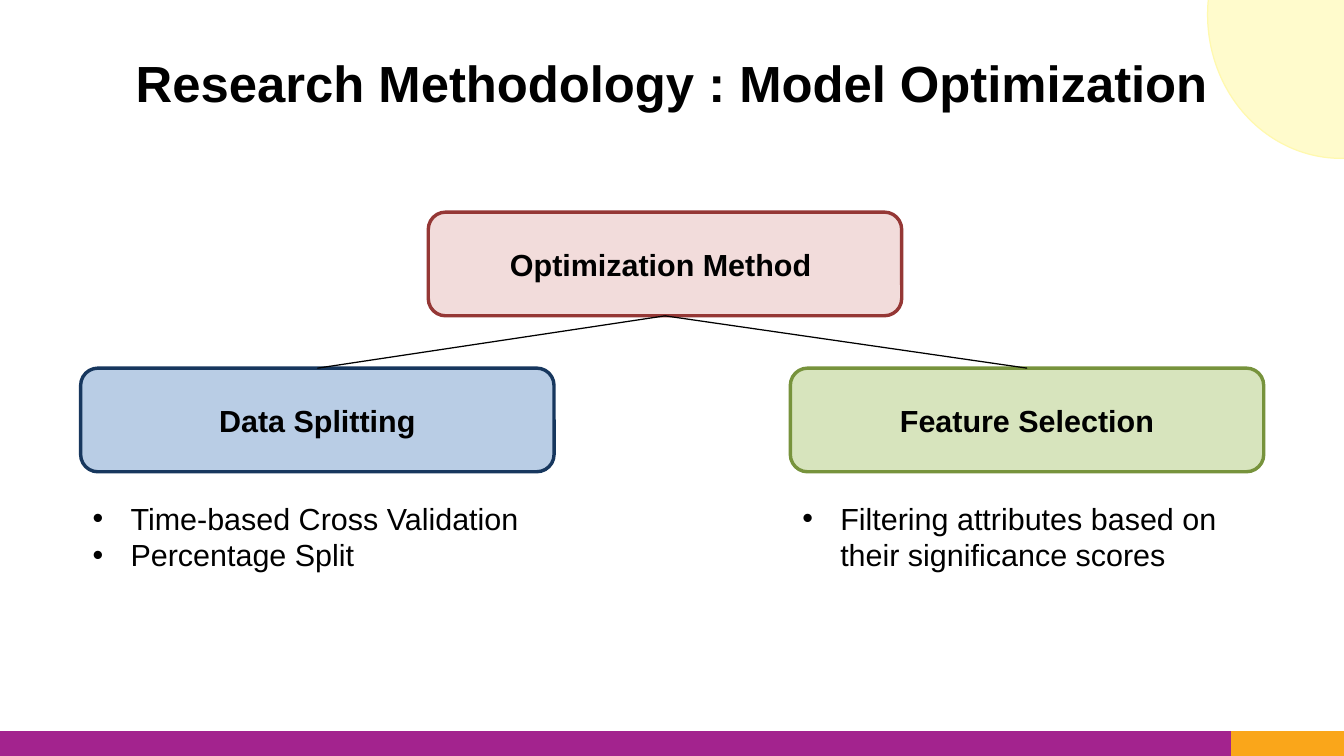
import pptx
import pptx.util
import pptx.dml.color
import pptx.enum.shapes
import pptx.enum.text
import pptx.oxml.ns
from lxml import etree

Cm, Pt = pptx.util.Cm, pptx.util.Pt
MSO_SHAPE = pptx.enum.shapes.MSO_SHAPE
PP_ALIGN = pptx.enum.text.PP_ALIGN
qn = pptx.oxml.ns.qn

SLIDE_W, SLIDE_H = 27.99, 15.75
BOX_W, BOX_H = 9.86, 2.16
LEFT_X, RIGHT_X = 1.68, 16.46
BRANCH_Y, LIST_Y = 7.67, 10.29
BAR_H, BAR_SPLIT = 0.51, 25.65


def rgb(value):
    return pptx.dml.color.RGBColor.from_string(value)


def add_run(p, text, size, bold=False):
    r = p.add_run()
    r.text = text
    r.font.name = "Arial"
    r.font.size = Pt(size)
    r.font.bold = bold
    r.font.color.rgb = rgb("000000")


def center_text(sp, text, size):
    tf = sp.text_frame
    tf.word_wrap = True
    tf.vertical_anchor = pptx.enum.text.MSO_ANCHOR.MIDDLE
    p = tf.paragraphs[0]
    p.alignment = PP_ALIGN.CENTER
    add_run(p, text, size, bold=True)


def add_title(s, text):
    sp = s.shapes.add_textbox(Cm(1.4), Cm(0.64), Cm(25.2), Cm(2.16))
    tf = sp.text_frame
    tf.margin_left = tf.margin_right = tf.margin_top = tf.margin_bottom = 0
    center_text(sp, text, 30)


def add_shape(s, kind, x, y, w, h, fill, line, weight=0.75):
    sp = s.shapes.add_shape(kind, Cm(x), Cm(y), Cm(w), Cm(h))
    sp.shadow.inherit = False
    sp.fill.solid()
    sp.fill.fore_color.rgb = rgb(fill)
    sp.line.color.rgb = rgb(line)
    sp.line.width = Pt(weight)
    return sp


def add_box(s, x, y, text, fill, line):
    sp = add_shape(s, MSO_SHAPE.ROUNDED_RECTANGLE, x, y, BOX_W, BOX_H, fill, line, 2)
    center_text(sp, text, 18)
    return sp


def add_bullets(s, x, items):
    sp = s.shapes.add_textbox(Cm(x), Cm(LIST_Y), Cm(BOX_W), Cm(1.8))
    tf = sp.text_frame
    tf.word_wrap = True
    for i, item in enumerate(items):
        p = tf.add_paragraph() if i else tf.paragraphs[0]
        pPr = p._p.get_or_add_pPr()
        pPr.set("marL", str(Cm(0.79)))
        pPr.set("indent", str(-Cm(0.79)))
        etree.SubElement(pPr, qn("a:buFont"), typeface="Arial")
        etree.SubElement(pPr, qn("a:buChar"), char="•")
        add_run(p, item, 18)


def join(s, parent, child):
    """Line from the bottom of the parent box to the top of the child box."""
    line = s.shapes.add_connector(pptx.enum.shapes.MSO_CONNECTOR.STRAIGHT, 0, 0, 0, 0)
    line.begin_connect(parent, 2)
    line.end_connect(child, 0)
    line.line.color.rgb = rgb("000000")
    line.line.width = Pt(0.75)
    etree.SubElement(line._element.spPr, qn("a:effectLst"))


def main():
    prs = pptx.Presentation()
    prs.slide_width, prs.slide_height = Cm(SLIDE_W), Cm(SLIDE_H)
    s = prs.slides.add_slide(prs.slide_layouts[6])

    # Title and decoration
    add_title(s, "Research Methodology : Model Optimization")
    bar_y = SLIDE_H - BAR_H
    add_shape(s, MSO_SHAPE.RECTANGLE, 0, bar_y, BAR_SPLIT, BAR_H, "A3238E", "A3238E")
    add_shape(s, MSO_SHAPE.RECTANGLE, BAR_SPLIT, bar_y, SLIDE_W - BAR_SPLIT, BAR_H,
              "FAA61A", "FAA61A")
    add_shape(s, MSO_SHAPE.OVAL, 25.15, -2.69, 5.56, 5.99, "FFFBCC", "FFF9AE")

    # Root of the tree
    root = add_box(s, 8.92, 4.42, "Optimization Method ", "F2DCDB", "953735")

    # Branches with their lists
    branches = [
        (LEFT_X, "Data Splitting", "B9CDE5", "17375E",
         ["Time-based Cross Validation", "Percentage Split"]),
        (RIGHT_X, "Feature Selection", "D7E4BD", "77933C",
         ["Filtering attributes based on their significance scores"]),
    ]
    for x, name, fill, line, items in branches:
        box = add_box(s, x, BRANCH_Y, name, fill, line)
        add_bullets(s, x, items)
        join(s, root, box)

    prs.save("out.pptx")


if __name__ == "__main__":
    main()
